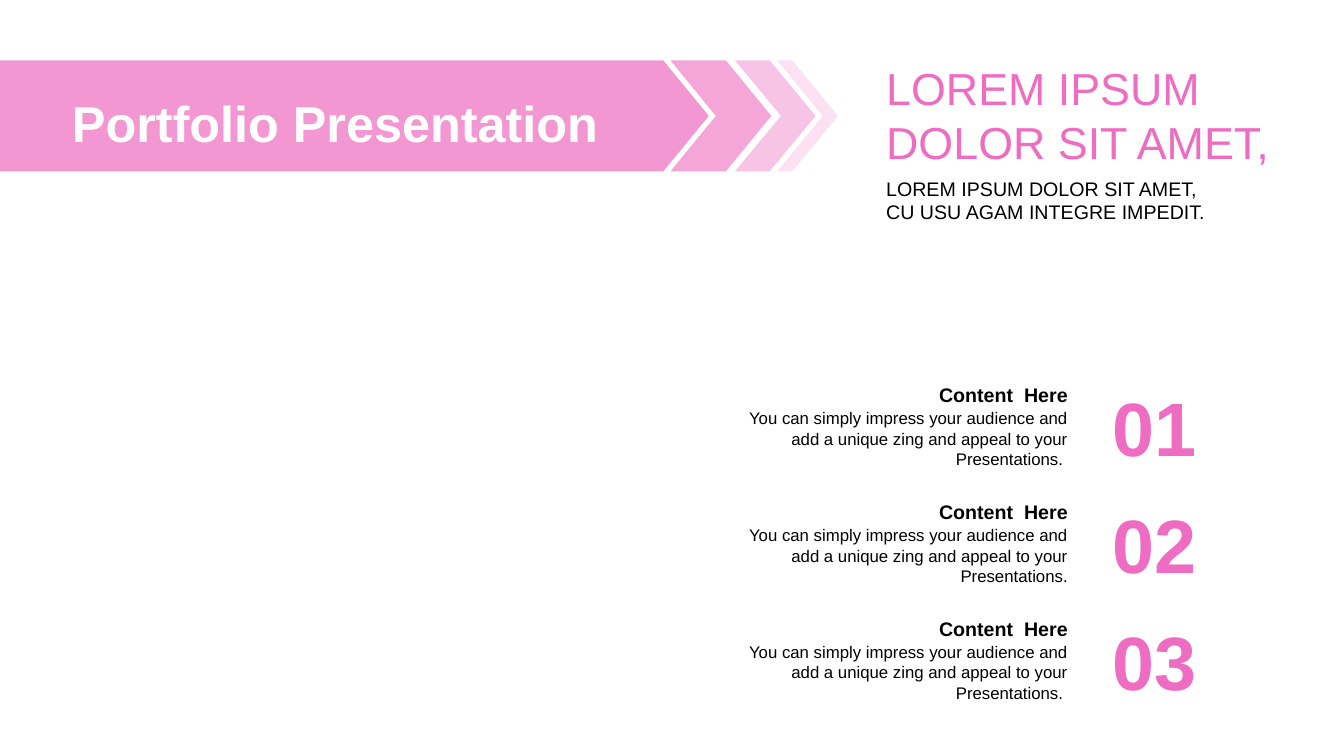
from dataclasses import dataclass
from typing import NamedTuple

from lxml import etree
from pptx import Presentation
from pptx import util as u
from pptx.dml.color import RGBColor
from pptx.enum import shapes, text
from pptx.oxml import ns

EMU_PER_PX = 9144


@dataclass(frozen=True)
class Theme:
    font: str = "Arial"
    pink: str = "EE6CC1"
    black: str = "000000"
    white: str = "FFFFFF"
    banner_size: int = 36
    headline_size: int = 32
    number_size: int = 54
    label_size: int = 14
    body_size: int = 12


class Frame(NamedTuple):
    left: int
    top: int
    width: int
    height: int

    def emu(self) -> list[u.Emu]:
        return [u.Emu(length * EMU_PER_PX) for length in self]


class Style(NamedTuple):
    size: int
    color: str
    bold: bool = False
    align: text.PP_ALIGN = text.PP_ALIGN.LEFT
    anchor: text.MSO_ANCHOR = text.MSO_ANCHOR.MIDDLE
    autofit: text.MSO_AUTO_SIZE = text.MSO_AUTO_SIZE.SHAPE_TO_FIT_TEXT
    line_spacing: float = 1.0
    side_inset: int = 10


class Arrow(NamedTuple):
    preset: shapes.MSO_SHAPE
    left: int
    width: int
    point: float
    opacity: int


class Item(NamedTuple):
    number: str
    heading: str
    body: str


THEME = Theme()
RIGHT = text.PP_ALIGN.RIGHT
CENTER = text.PP_ALIGN.CENTER
BANNER = Style(THEME.banner_size, THEME.white, True, CENTER,
               autofit=text.MSO_AUTO_SIZE.NONE, line_spacing=1.1)
HEADLINE = Style(THEME.headline_size, THEME.pink)
SUBTITLE = Style(THEME.label_size, THEME.black)
NUMBER = Style(THEME.number_size, THEME.pink, True, CENTER, side_inset=12)
HEADING = Style(THEME.label_size, THEME.black, True, RIGHT)
BODY = Style(THEME.body_size, THEME.black, align=RIGHT, anchor=text.MSO_ANCHOR.TOP)

CHEVRON = shapes.MSO_SHAPE.CHEVRON
ARROW_TOP, ARROW_HEIGHT = 60, 110
ARROWS = [
    Arrow(CHEVRON, 729, 80, 0.57, 40),
    Arrow(shapes.MSO_SHAPE.PENTAGON, 0, 703, 0.41, 70),
    Arrow(CHEVRON, 771, 60, 0.75, 20),
    Arrow(CHEVRON, 665, 100, 0.45, 60),
]

PITCH_TEXT = ("You can simply impress your audience and add a unique zing "
              "and appeal to your Presentations.")
ITEMS = [
    Item("01", "Content  Here", PITCH_TEXT + " "),
    Item("02", "Content  Here", PITCH_TEXT),
    Item("03", "Content  Here", PITCH_TEXT + " "),
]
FIRST_ITEM_TOP, ITEM_PITCH = 372, 116


def write_text(box, words: str, style: Style) -> None:
    frame = box.text_frame
    frame.text = words
    frame.word_wrap = True
    frame.auto_size = style.autofit
    frame.vertical_anchor = style.anchor
    frame.margin_left = frame.margin_right = u.Emu(style.side_inset * EMU_PER_PX)
    frame.margin_top = frame.margin_bottom = u.Emu(5 * EMU_PER_PX)
    for para in frame.paragraphs:
        para.alignment = style.align
        para.line_spacing = style.line_spacing
        for span in para.runs:
            span.font.name = THEME.font
            span.font.size = u.Pt(style.size)
            span.font.bold = style.bold
            span.font.color.rgb = RGBColor.from_string(style.color)


def add_text(parent, frame: Frame, words: str, style: Style) -> None:
    write_text(parent.add_textbox(*frame.emu()), words, style)


def add_arrow(parent, arrow: Arrow) -> None:
    frame = Frame(arrow.left, ARROW_TOP, arrow.width, ARROW_HEIGHT)
    shape = parent.add_shape(arrow.preset, *frame.emu())
    shape.adjustments[0] = arrow.point
    shape.shadow.inherit = False
    shape.line.fill.background()
    shape.fill.solid()
    shape.fill.fore_color.rgb = RGBColor.from_string(THEME.pink)
    color = shape.element.spPr.find(".//" + ns.qn("a:srgbClr"))
    etree.SubElement(color, ns.qn("a:alpha"), val=str(arrow.opacity * 1000))


def add_item(page, item: Item, top: int) -> None:
    add_text(page.shapes, Frame(1086, top, 118, 101), item.number, NUMBER)
    group = page.shapes.add_group_shape().shapes
    add_text(group, Frame(720, top + 3, 349, 34), item.heading, HEADING)
    add_text(group, Frame(721, top + 28, 348, 71), item.body, BODY)


def place_title(page, frame: Frame, words: str) -> None:
    title = page.shapes.title
    title.left, title.top, title.width, title.height = frame.emu()
    write_text(title, words, BANNER)
    page.shapes.element.append(title.element)


def main() -> None:
    deck = Presentation()
    deck.slide_width = u.Emu(1333 * EMU_PER_PX)
    deck.slide_height = u.Emu(750 * EMU_PER_PX)
    page = deck.slides.add_slide(deck.slide_layouts.get_by_name("Title Only"))

    add_text(page.shapes, Frame(869, 170, 405, 57),
             "LOREM IPSUM DOLOR SIT AMET,\nCU USU AGAM INTEGRE IMPEDIT.", SUBTITLE)
    add_text(page.shapes, Frame(869, 55, 405, 118),
             "LOREM IPSUM\nDOLOR SIT AMET,", HEADLINE)
    for index, item in enumerate(ITEMS):
        add_item(page, item, FIRST_ITEM_TOP + index * ITEM_PITCH)

    banner = page.shapes.add_group_shape().shapes
    for arrow in ARROWS:
        add_arrow(banner, arrow)
    place_title(page, Frame(52, 46, 561, 145), "Portfolio Presentation")

    deck.save("out.pptx")


if __name__ == "__main__":
    main()
